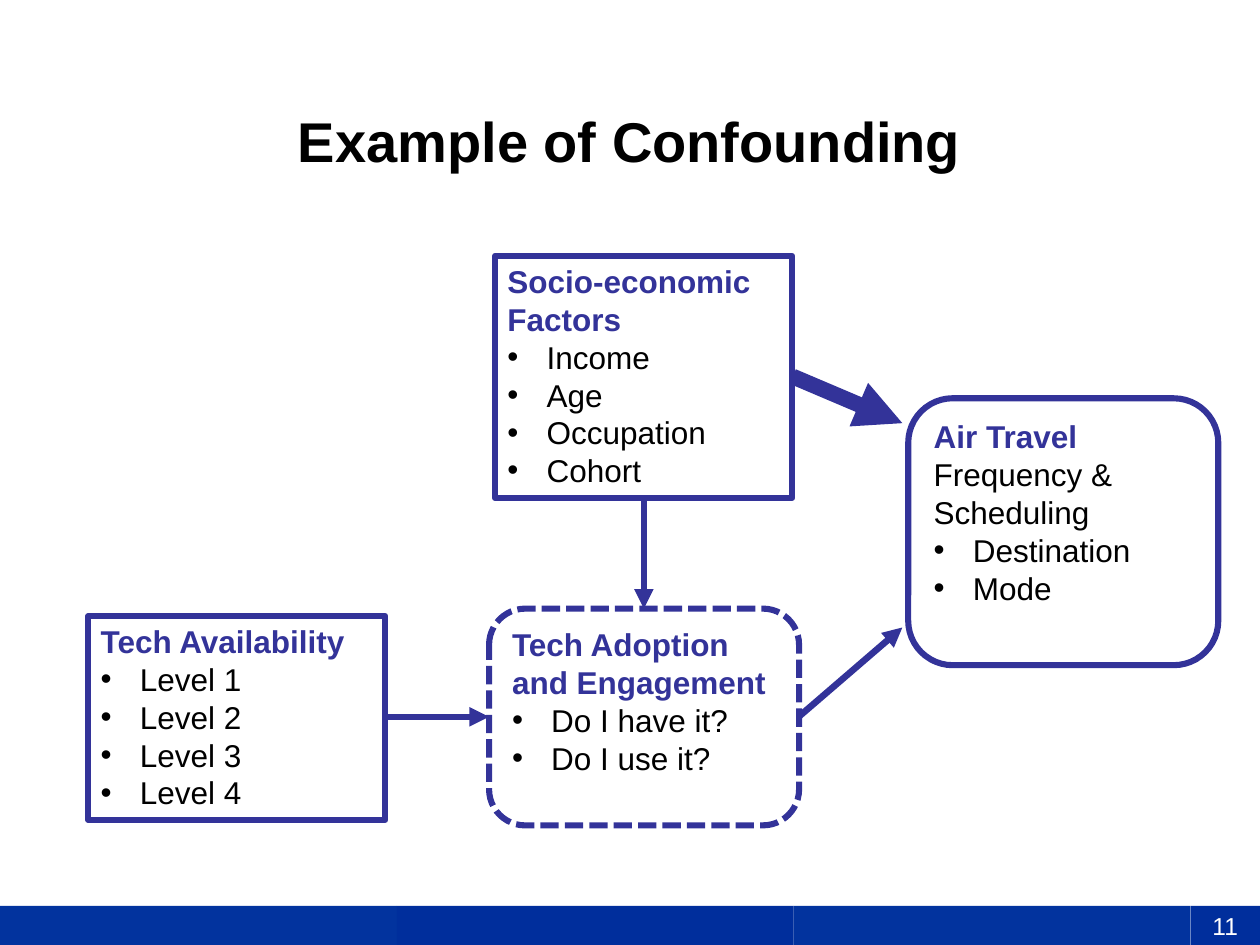
from lxml import etree
from pptx import Presentation
from pptx import util as u
from pptx.dml.color import RGBColor
from pptx.enum import dml, shapes, text
from pptx.oxml import ns

BLUE, BLACK, WHITE = "333399", "000000", "FFFFFF"
RECT, ROUND = shapes.MSO_SHAPE.RECTANGLE, shapes.MSO_SHAPE.ROUNDED_RECTANGLE
HEAD = {"size": u.Pt(18), "bold": True, "color": BLUE}
BODY = {"size": u.Pt(18), "bold": False, "color": BLACK}
TITLE = {"size": u.Pt(32), "bold": True, "color": BLACK}
NUMBER = {"size": u.Pt(14), "bold": False, "color": WHITE}


def rgb(value):
    return RGBColor.from_string(value)


class Deck:
    """Holds the style and the current slide, and draws each kind of element."""

    font = "Arial"
    indent = 0.79

    def __init__(self, width, height):
        self.prs = Presentation()
        self.prs.slide_width, self.prs.slide_height = u.Cm(width), u.Cm(height)
        self.s = self.prs.slides.add_slide(self.prs.slide_layouts[6])

    def para(self, tf, i, content, fmt, align=text.PP_ALIGN.LEFT, bullet=False):
        p = tf.paragraphs[0] if i == 0 else tf.add_paragraph()
        p.alignment = align
        r = p.add_run()
        r.text = content
        r.font.name = self.font
        for key, value in fmt.items():
            if key == "color":
                r.font.color.rgb = rgb(value)
            else:
                setattr(r.font, key, value)
        if bullet:
            pPr = p._p.get_or_add_pPr()
            pPr.set("marL", str(u.Cm(self.indent)))
            pPr.set("indent", str(-u.Cm(self.indent)))
            etree.SubElement(pPr, ns.qn("a:buFont"), typeface=self.font)
            etree.SubElement(pPr, ns.qn("a:buChar"), char="•")

    def title(self, at, content):
        tf = self.s.shapes.add_textbox(*map(u.Cm, at)).text_frame
        tf.word_wrap = True
        self.para(tf, 0, content, TITLE, text.PP_ALIGN.CENTER)

    def shape(self, kind, at, fill=None, line=None, dash=None):
        sp = self.s.shapes.add_shape(kind, *map(u.Cm, at))
        sp.shadow.inherit = False
        if fill:
            sp.fill.solid()
            sp.fill.fore_color.rgb = rgb(fill)
        else:
            sp.fill.background()
        if line:
            sp.line.color.rgb = rgb(line)
            sp.line.width = u.Pt(3.5)
            if dash:
                sp.line.dash_style = dash
        else:
            sp.line.fill.background()
        return sp

    def box(self, kind, at, head, items, lead=None, **style):
        tf = self.shape(kind, at, line=BLUE, **style).text_frame
        tf.word_wrap = True
        tf.vertical_anchor = text.MSO_ANCHOR.TOP
        rows = [(head, HEAD, False)]
        if lead:
            rows.append((lead, BODY, False))
        rows += [(item, BODY, True) for item in items]
        for i, (content, fmt, bullet) in enumerate(rows):
            self.para(tf, i, content, fmt, bullet=bullet)

    def footer(self, top, height, number):
        for i, color in enumerate(("02339E", "002E9C", "02339E")):
            self.shape(RECT, (8 * i, top, 8, height), color)
        tf = self.shape(RECT, (24, top, 1.4, height), "002E9C").text_frame
        tf.margin_left = tf.margin_right = 0
        tf.vertical_anchor = text.MSO_ANCHOR.MIDDLE
        self.para(tf, 0, number, NUMBER, text.PP_ALIGN.CENTER)

    def arrow(self, start, end, width=3.75):
        c = self.s.shapes.add_connector(
            shapes.MSO_CONNECTOR.STRAIGHT, *map(u.Cm, start + end))
        c.line.color.rgb = rgb(BLUE)
        c.line.width = u.Pt(width)
        etree.SubElement(c.line._get_or_add_ln(), ns.qn("a:tailEnd"), type="triangle")
        etree.SubElement(c._element.spPr, ns.qn("a:effectLst"))


def main():
    d = Deck(25.4, 19.05)
    d.footer(18.26, 0.79, "11")
    d.title((0.91, 2.03, 23.57, 3), "Example of Confounding")
    d.box(RECT, (9.98, 5.16, 5.99, 4.88), "Socio-economic Factors",
          ["Income", "Age", "Occupation", "Cohort"])
    d.box(RECT, (1.78, 12.42, 5.99, 4.11), "Tech Availability",
          [f"Level {n}" for n in range(1, 5)])
    d.box(ROUND, (9.86, 12.27, 6.25, 4.37), "Tech Adoption and Engagement",
          ["Do I have it?", "Do I use it?"], fill=WHITE,
          dash=dml.MSO_LINE.SQUARE_DOT)
    d.box(ROUND, (18.31, 8.03, 6.25, 5.38), "Air Travel",
          ["Destination", "Mode"], lead="Frequency & Scheduling", fill=WHITE)
    d.arrow((16.1, 14.45), (18.19, 12.65))
    d.arrow((12.98, 10.03), (12.98, 12.27))
    d.arrow((7.77, 14.45), (9.86, 14.45))
    d.arrow((15.98, 7.59), (18.19, 8.53), 9)
    d.prs.save("out.pptx")


if __name__ == "__main__":
    main()
